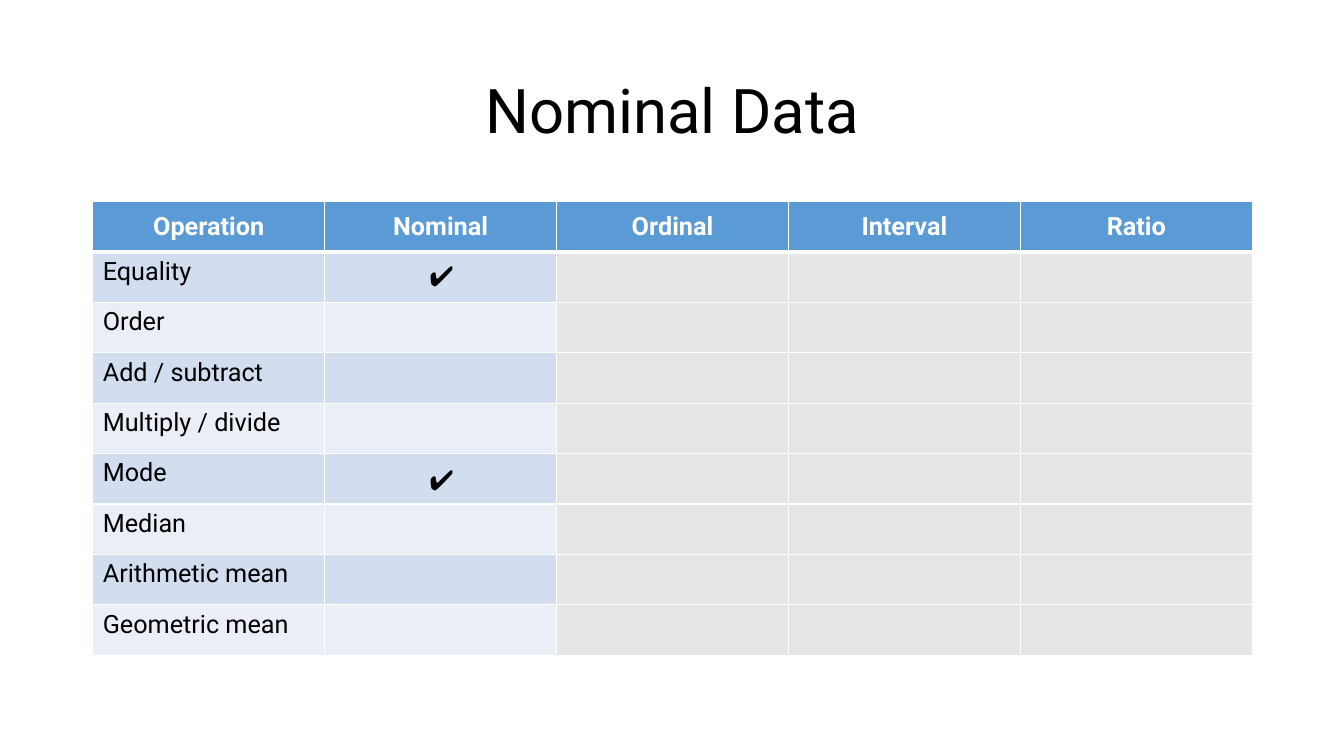
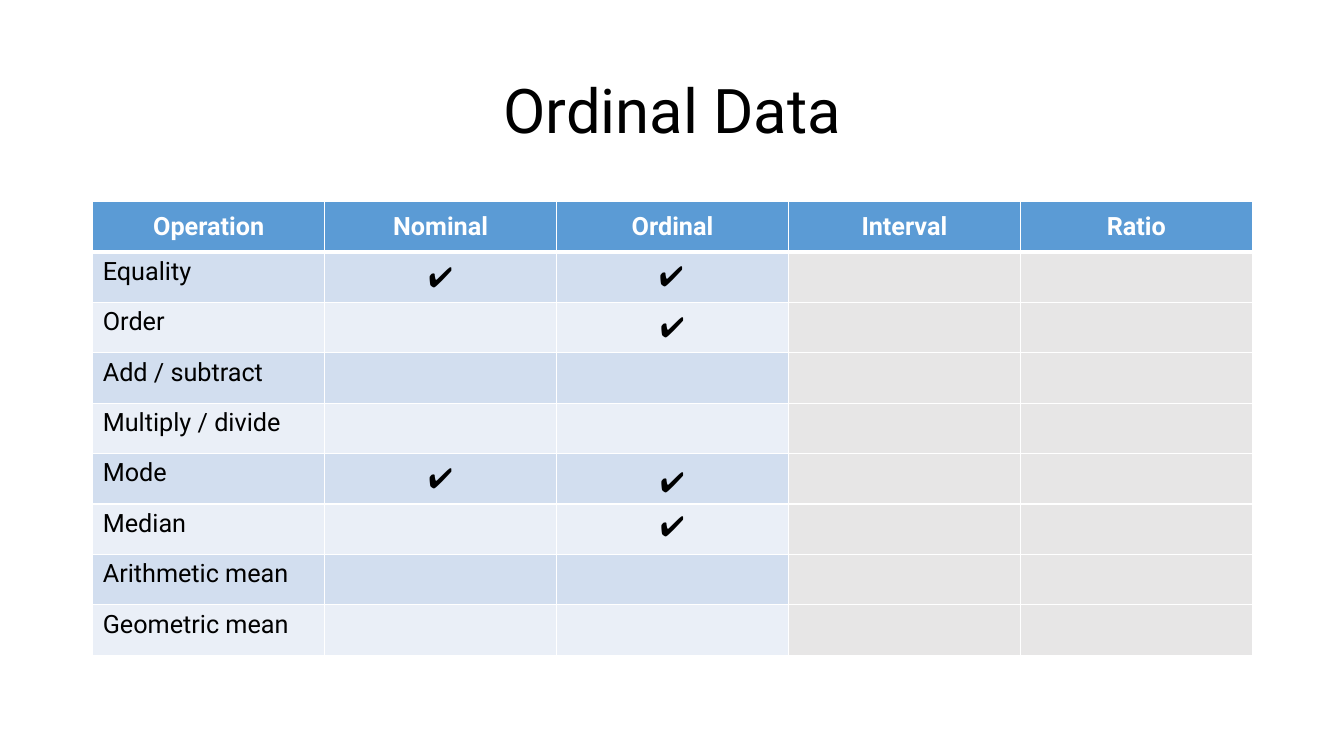
"""Build two slides that show which operations suit nominal and ordinal data."""
from lxml import etree
from pptx import Presentation
from pptx import util as u
from pptx.dml import color
from pptx.enum import text
from pptx.oxml import ns

COLORS = {
    "black": "000000",
    "white": "FFFFFF",
    "header": "5B9BD5",
    "band_dark": "D2DEEF",
    "band_light": "EAEFF7",
    "inactive": "E7E6E6",
}
BODY_FONT, TICK_FONT = "Roboto", "Cabin"
TICK, TICK_PT = "✔", 20
LEFT, WIDTH = 0.92, 11.5
TABLE_TOP, ROW_HEIGHT = 2, 0.5
SCALES = ["Operation", "Nominal", "Ordinal", "Interval", "Ratio"]
OPERATIONS = [
    "Equality", "Order", "Add / subtract", "Multiply / divide",
    "Mode", "Median", "Arithmetic mean", "Geometric mean",
]
SLIDES = [
    {
        "title": "Nominal Data",
        "active_columns": 2,
        "cell_ticks": set(),
        "loose_ticks": [(4.16, 2.52), (4.16, 4.54)],
    },
    {
        "title": "Ordinal Data",
        "active_columns": 3,
        "cell_ticks": {("Equality", "Nominal"), ("Mode", "Nominal")},
        "loose_ticks": [(6.44, 2.52), (6.45, 3.02), (6.45, 4.56), (6.45, 5)],
    },
]


def rgb(name):
    """Return the named colour."""
    return color.RGBColor.from_string(COLORS[name])


def write(frame, words, size, font=BODY_FONT, ink="black", bold=False, centered=True):
    """Put one styled run into the first paragraph and return the paragraph."""
    para = frame.paragraphs[0]
    para.alignment = text.PP_ALIGN.CENTER if centered else text.PP_ALIGN.LEFT
    span = para.add_run()
    span.text = words
    span.font.size = u.Pt(size)
    span.font.name = font
    span.font.bold = bold
    span.font.color.rgb = rgb(ink)
    return para


def add_box(page, left, top, width, height):
    """Add an empty text box."""
    return page.shapes.add_textbox(*(u.Inches(n) for n in (left, top, width, height)))


def add_title(page, words):
    """Add the slide title."""
    frame = add_box(page, LEFT, 0.4, WIDTH, 1.45).text_frame
    frame.word_wrap = True
    frame.vertical_anchor = text.MSO_ANCHOR.MIDDLE
    write(frame, words, 44).line_spacing = 0.9


def add_tick(page, left, top):
    """Add a tick that stands on top of the table."""
    frame = add_box(page, left, top, 0.43, 0.44).text_frame
    frame.word_wrap = False
    frame.auto_size = text.MSO_AUTO_SIZE.SHAPE_TO_FIT_TEXT
    write(frame, TICK, TICK_PT, TICK_FONT)


def set_borders(cell, top, bottom):
    """Draw white cell borders, with top and bottom widths in points."""
    props = cell._tc.get_or_add_tcPr()
    for side, points in (("L", 1), ("R", 1), ("T", top), ("B", bottom)):
        line = etree.SubElement(props, ns.qn(f"a:ln{side}"), w=str(u.Pt(points)))
        fill = etree.SubElement(line, ns.qn("a:solidFill"))
        etree.SubElement(fill, ns.qn("a:srgbClr"), val=COLORS["white"])


def style_cell(cell, row, column, active_columns):
    """Set the borders and fill that belong to a place in the table."""
    set_borders(cell, 3 if row == 1 else 1, 3 if row == 0 else 1)
    if row == 0:
        fill = "header"
    elif column >= active_columns:
        fill = "inactive"
    else:
        fill = "band_dark" if row % 2 else "band_light"
    cell.fill.solid()
    cell.fill.fore_color.rgb = rgb(fill)


def fill_cell(cell, row, column, ticks):
    """Write the heading, operation or tick of a cell."""
    frame = cell.text_frame
    if row == 0:
        cell.vertical_anchor = text.MSO_ANCHOR.MIDDLE
        write(frame, SCALES[column], 18, ink="white", bold=True)
    elif column == 0:
        write(frame, OPERATIONS[row - 1], 18, centered=False)
    elif (OPERATIONS[row - 1], SCALES[column]) in ticks:
        cell.vertical_anchor = text.MSO_ANCHOR.MIDDLE
        write(frame, TICK, TICK_PT, TICK_FONT)


def add_operations_table(page, active_columns, ticks):
    """Add the table of operations against scales."""
    rows, columns = len(OPERATIONS) + 1, len(SCALES)
    table = page.shapes.add_table(
        rows, columns, u.Inches(LEFT), u.Inches(TABLE_TOP),
        u.Inches(WIDTH), u.Inches(rows * ROW_HEIGHT),
    ).table
    for row in range(rows):
        for column in range(columns):
            cell = table.cell(row, column)
            style_cell(cell, row, column, active_columns)
            fill_cell(cell, row, column, ticks)


def main():
    """Build and save the deck."""
    deck = Presentation()
    deck.slide_width, deck.slide_height = u.Inches(13.33), u.Inches(7.5)
    for content in SLIDES:
        page = deck.slides.add_slide(deck.slide_layouts[6])
        add_title(page, content["title"])
        add_operations_table(page, content["active_columns"], content["cell_ticks"])
        for left, top in content["loose_ticks"]:
            add_tick(page, left, top)
    deck.save("out.pptx")


if __name__ == "__main__":
    main()
